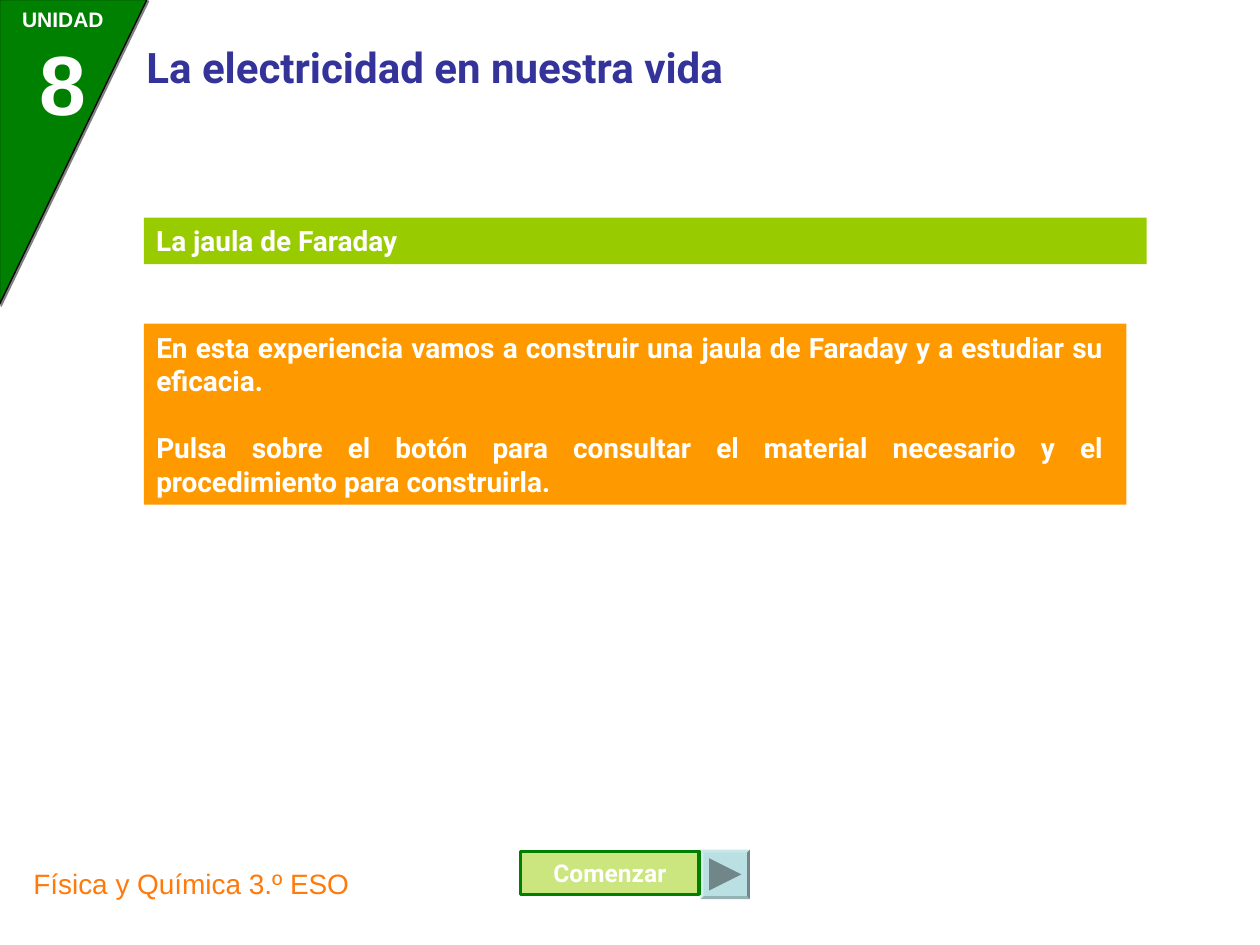
"""Build the opening slide of the Faraday cage activity."""
import pptx
import pptx.dml.color
import pptx.enum.shapes
import pptx.enum.text
import pptx.oxml
import pptx.oxml.ns
import pptx.util

Pt = pptx.util.Pt
Color = pptx.dml.color.RGBColor.from_string
Shape = pptx.enum.shapes.MSO_SHAPE
Align = pptx.enum.text.PP_ALIGN
Anchor = pptx.enum.text.MSO_ANCHOR

THEME = {
    "green": "008000", "lime": "99CC00", "orange": "FF9900", "footer": "FF790B",
    "navy": "333399", "white": "FFFFFF", "black": "000000", "button": "BBE0E3",
    "arrow": "708688", "heading": "Roboto", "plain": "Arial",
    "unit": 12, "label": 14, "body": 16, "title": 24, "number": 48,
}


def add_block(page, kind, area, fill=None, line=None, width=1):
    """Add a flat shape with an optional fill and outline."""
    block = page.shapes.add_shape(kind, *map(Pt, area))
    block.shadow.inherit = False
    if fill:
        block.fill.solid()
        block.fill.fore_color.rgb = Color(THEME[fill])
    else:
        block.fill.background()
    if line:
        block.line.color.rgb = Color(THEME[line])
        block.line.width = Pt(width)
    else:
        block.line.fill.background()
    return block


def write(box, lines, font, color, bold=True, align=Align.LEFT,
          anchor=Anchor.TOP, right=7.2, gap=0):
    """Write (text, size) lines as paragraphs of a box."""
    frame = box.text_frame
    settings = {"word_wrap": True, "vertical_anchor": anchor,
                "margin_left": Pt(7.2), "margin_right": Pt(right),
                "margin_top": Pt(3.6), "margin_bottom": Pt(3.6)}
    for name, value in settings.items():
        setattr(frame, name, value)
    for index, (text, size) in enumerate(lines):
        para = frame.add_paragraph() if index else frame.paragraphs[0]
        para.alignment = align
        if index and gap:
            para.space_before = Pt(gap)
        span = para.add_run()
        span.text = text
        formats = {"name": THEME[font], "size": Pt(THEME[size]), "bold": bold}
        for name, value in formats.items():
            setattr(span.font, name, value)
        span.font.color.rgb = Color(THEME[color])


deck = pptx.Presentation()
deck.slide_width, deck.slide_height = Pt(720), Pt(540)
page = deck.slides.add_slide(deck.slide_layouts[6])

corner = add_block(page, Shape.RIGHT_TRIANGLE, (-45.3, 44.7, 174.3, 84.3), "green", "black", 0.75)
corner.rotation = 90
effects = corner.element.spPr.find(pptx.oxml.ns.qn("a:effectLst"))
effects.append(pptx.oxml.parse_xml(
    f'<a:outerShdw {pptx.oxml.ns.nsdecls("a")} dist="17780" dir="2700000" '
    'algn="ctr" rotWithShape="0"><a:srgbClr val="808080"/></a:outerShdw>'))

captions = [
    ((0, 0, 72, 79.2), [("UNIDAD", "unit"), ("8", "number")], "plain", "white", True, Align.CENTER),
    ((12, 491.8, 516, 26.6), [("Física y Química 3.º ESO", "body")],
     "plain", "footer", False, Align.LEFT),
    ((76.5, 20.2, 636, 36), [("La electricidad en nuestra vida", "title")],
     "heading", "navy", True, Align.LEFT),
]
for area, *content in captions:
    write(page.shapes.add_textbox(*map(Pt, area)), *content)

message = add_block(page, Shape.RECTANGLE, (82.2, 185, 561.4, 103.4), "orange")
write(message, [
    ("En esta experiencia vamos a construir una jaula de Faraday y a estudiar su eficacia.", "body"),
    ("Pulsa sobre el botón para consultar el material necesario y el procedimiento para construirla.",
     "body"),
], "heading", "white", align=Align.JUSTIFY, anchor=Anchor.MIDDLE, right=13, gap=19)

button = add_block(page, Shape.BEVEL, (400.3, 485.5, 28.3, 28.3), "button")
button.adjustments[0] = 0.06
arrow = add_block(page, Shape.ISOSCELES_TRIANGLE, (405.2, 490.4, 18.5, 18.5), "arrow")
arrow.rotation = 90

start = add_block(page, Shape.RECTANGLE, (297.4, 486.6, 102.2, 24.5), "lime", "green", 2)
tint = start.element.spPr.find(pptx.oxml.ns.qn("a:solidFill"))[0]
tint.append(pptx.oxml.parse_xml(f'<a:alpha {pptx.oxml.ns.nsdecls("a")} val="50000"/>'))
write(start, [("Comenzar", "label")], "heading", "white",
      align=Align.CENTER, anchor=Anchor.MIDDLE)

topic = add_block(page, Shape.RECTANGLE, (82.2, 124.4, 573, 26.6), "lime")
write(topic, [("La jaula de Faraday", "body")], "heading", "white")

deck.save("out.pptx")
